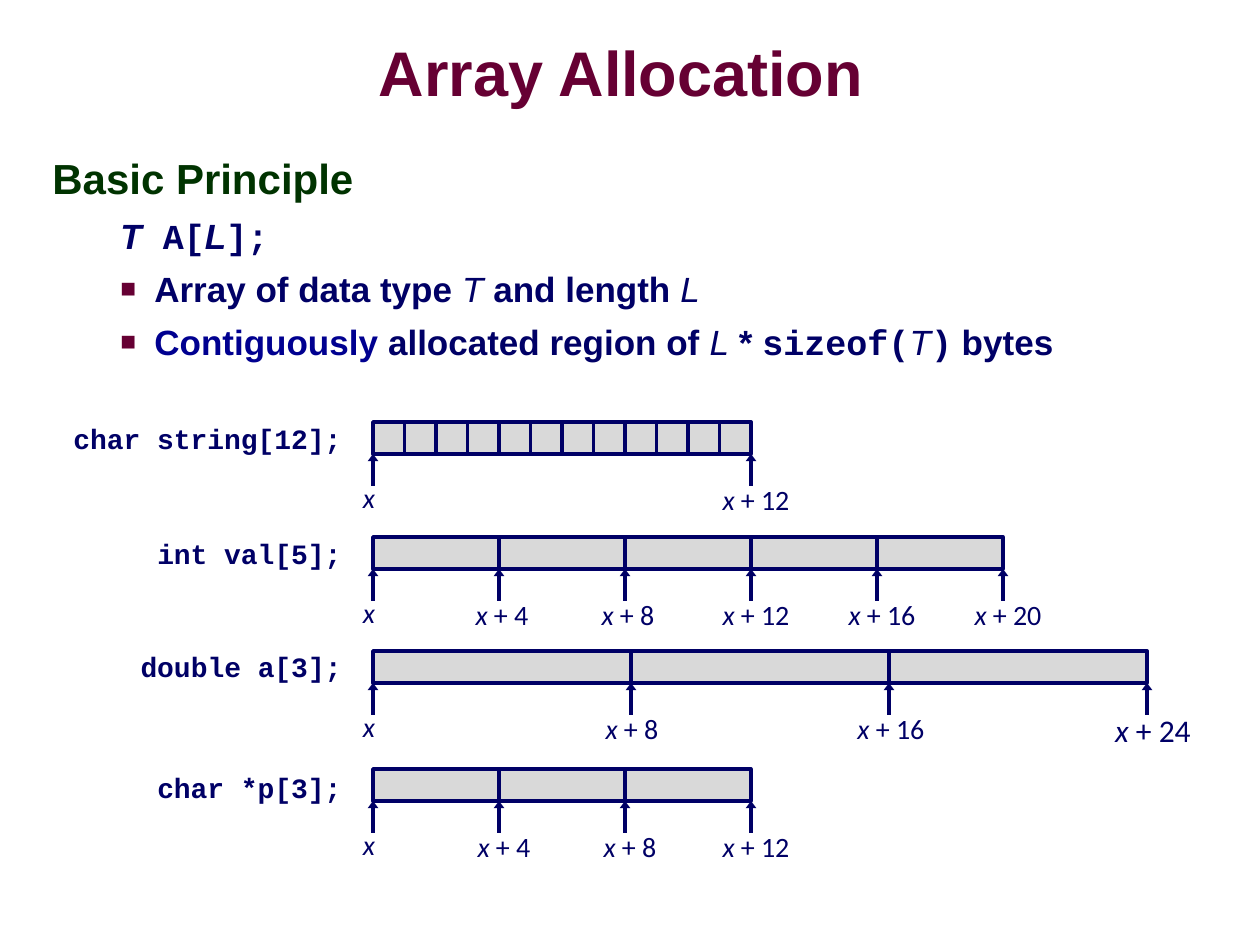
from dataclasses import dataclass

from lxml.etree import SubElement
from pptx import Presentation
from pptx.dml.color import RGBColor
from pptx.enum.shapes import MSO_CONNECTOR, MSO_SHAPE
from pptx.enum.text import MSO_ANCHOR, PP_ALIGN
from pptx.oxml.ns import qn
from pptx.util import Emu, Pt


@dataclass(frozen=True)
class Theme:
    navy: str = "000066"
    blue: str = "000090"
    wine: str = "660033"
    green: str = "003300"
    cell: str = "D9D9D9"
    shade: str = "B2B2B2"
    line: float = 2
    title: float = 36
    head: float = 24
    body: float = 20
    note: float = 16
    big: float = 18


T = Theme()

# Each style is (colour, font values).
STYLES = {
    "title": (T.wine, dict(name="Arial", size=Pt(T.title), bold=True)),
    "head": (T.green, dict(name="Arial", size=Pt(T.head), bold=True)),
    "body": (T.navy, dict(name="Arial", size=Pt(T.body), bold=True)),
    "key": (T.blue, dict(name="Arial", size=Pt(T.body), bold=True)),
    "var": (T.navy, dict(name="Arial", size=Pt(T.body), italic=True, bold=False)),
    "type": (T.navy, dict(name="Arial", size=Pt(T.body), italic=True, bold=True)),
    "code": (T.navy, dict(name="Courier New", size=Pt(T.body), bold=True)),
    "decl": (T.navy, dict(name="Courier New", size=Pt(T.note), bold=True)),
    "base": (T.navy, dict(name="Calibri", size=Pt(T.note), italic=True)),
    "step": (T.navy, dict(name="Calibri", size=Pt(T.note))),
    "big base": (T.navy, dict(name="Calibri", size=Pt(T.big), italic=True)),
    "big step": (T.navy, dict(name="Calibri", size=Pt(T.big))),
}

TITLE = [("Array Allocation", "title")]
# Each point is (runs, left margin, hanging indent, bullet).
POINTS = [
    ([("Basic Principle", "head")], 0, 0, ""),
    ([("T", "type"), (" A[", "code"), ("L", "type"), ("];", "code")], 68, 0, ""),
    ([("Array of data type ", "body"), ("T", "var"), (" and length ", "body"),
      ("L", "var")], 102, 34, "■"),
    ([("Contiguously", "key"), (" allocated region of ", "body"), ("L", "var"),
      (" * ", "body"), ("sizeof(", "code"), ("T", "var"), (")", "code"),
      (" bytes", "body")], 102, 34, "■"),
]
# Each array is (declaration, its top, bar top, bar width, bytes a cell,
# cells, {tick: sideways shift of its label}).
ARRAYS = [
    ("char string[12];", 415, 422, 378, 1, 12, {0: -4, 12: 5}),
    ("int val[5];", 530, 537, 630, 4, 5, {0: -4, 1: 3, 2: 3, 3: 5, 4: 5, 5: 5}),
    ("double a[3];", 643, 651, 774, 8, 3, {0: -4, 1: 1, 2: 2, 3: 6}),
    ("char *p[3];", 764, 769, 378, 4, 3, {0: -4, 1: 5, 2: 5, 3: 5}),
]
LEFT, HIGH, STEM, DROP = 373, 32, 32, 54
LABEL = 138
BIG = 24  # byte offset whose label is set larger


def px(n):
    return Emu(round(n * 914400 / 126))


def rgb(code):
    return RGBColor.from_string(code)


def write(para, runs):
    for text, style in runs:
        run = para.add_run()
        run.text = text
        color, font = STYLES[style]
        for key, value in font.items():
            setattr(run.font, key, value)
        run.font.color.rgb = rgb(color)


def add_box(shapes, x, y, w, h, runs=(), align=PP_ALIGN.LEFT):
    frame = shapes.add_textbox(px(x), px(y), px(w), px(h)).text_frame
    frame.word_wrap = True
    frame.paragraphs[0].alignment = align
    write(frame.paragraphs[0], runs)
    return frame


def add_title(shapes):
    frame = add_box(shapes, 121, 37, 1000, 79, TITLE, PP_ALIGN.CENTER)
    frame.vertical_anchor = MSO_ANCHOR.MIDDLE
    for side in ("left", "top", "right", "bottom"):
        setattr(frame, f"margin_{side}", 0)
    para = frame.paragraphs[0]
    para.line_spacing = 0.87
    props = para.runs[0].font._element
    effects = SubElement(props, qn("a:effectLst"))
    shadow = SubElement(effects, qn("a:outerShdw"), dist="38100", dir="2700000")
    SubElement(shadow, qn("a:srgbClr"), val=T.shade)
    props.find(qn("a:solidFill")).addnext(effects)


def set_bullet(para, margin, hang, mark):
    props = para._p.get_or_add_pPr()
    props.set("marL", str(px(margin)))
    props.set("indent", str(-px(hang)))
    if not mark:
        SubElement(props, qn("a:buNone"))
        return
    color = SubElement(props, qn("a:buClr"))
    SubElement(color, qn("a:srgbClr"), val=T.wine)
    SubElement(props, qn("a:buSzPct"), val="75000")
    SubElement(props, qn("a:buFont"), typeface="Arial")
    SubElement(props, qn("a:buChar"), char=mark)


def add_points(shapes):
    frame = add_box(shapes, 40, 150, 1145, 223)
    for i, (runs, margin, hang, mark) in enumerate(POINTS):
        para = frame.add_paragraph() if i else frame.paragraphs[0]
        set_bullet(para, margin, hang, mark)
        if i:
            para.space_before = Pt(6.2)
        else:
            para.line_spacing = 0.95
        write(para, runs)


def add_cell(shapes, x, y, w):
    cell = shapes.add_shape(MSO_SHAPE.RECTANGLE, px(x), px(y), px(w), px(HIGH))
    cell.shadow.inherit = False
    cell.fill.solid()
    cell.fill.fore_color.rgb = rgb(T.cell)
    cell.line.color.rgb = rgb(T.navy)
    cell.line.width = Pt(T.line)


def add_arrow(shapes, x, y):
    """Draw an arrow that points up to y."""
    arrow = shapes.add_connector(
        MSO_CONNECTOR.STRAIGHT, px(x), px(y + STEM), px(x), px(y))
    arrow.line.color.rgb = rgb(T.navy)
    arrow.line.width = Pt(T.line)
    SubElement(arrow.line._get_or_add_ln(), qn("a:tailEnd"),
               type="triangle", w="med", len="sm")
    SubElement(arrow._element.spPr, qn("a:effectLst"))


def add_label(shapes, x, y, offset):
    size = "big " if offset == BIG else ""
    runs = [("x", "base")]
    if offset:
        runs = [("x ", size + "base"), (f"+ {offset}", size + "step")]
    top = y + DROP if offset else y + DROP - 2
    add_box(shapes, x - LABEL / 2, top, LABEL, 47, runs, PP_ALIGN.CENTER)


def add_array(shapes, decl, decl_top, top, wide, size, count, ticks):
    add_box(shapes, 54, decl_top, 300, 47, [(decl, "decl")], PP_ALIGN.RIGHT)
    group = shapes.add_group_shape().shapes
    step = wide / count
    for i in range(count):
        add_cell(group, LEFT + i * step, top, step)
    for i, shift in ticks.items():
        x = LEFT + i * step
        add_arrow(group, x, top + HIGH)
        add_label(group, x + shift, top, i * size)


def main():
    deck = Presentation()
    deck.slide_width, deck.slide_height = px(1260), px(945)
    shapes = deck.slides.add_slide(deck.slide_layouts[6]).shapes
    add_title(shapes)
    add_points(shapes)
    for row in ARRAYS:
        add_array(shapes, *row)
    deck.save("out.pptx")


if __name__ == "__main__":
    main()
